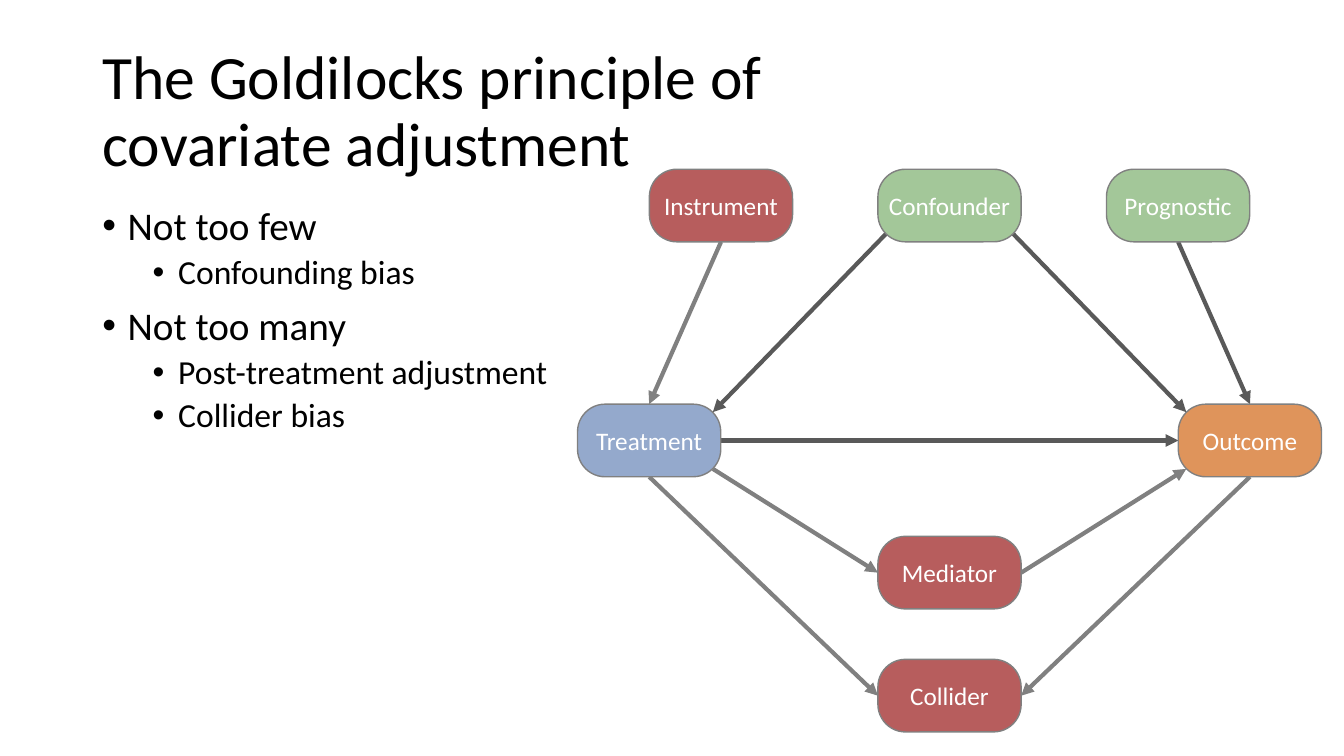
from lxml import etree
from pptx import Presentation
from pptx.dml.color import RGBColor
from pptx.enum.shapes import MSO_CONNECTOR, MSO_SHAPE
from pptx.enum.text import MSO_ANCHOR, PP_ALIGN
from pptx.oxml.ns import qn
from pptx.util import Cm, Pt

FONT = "Calibri"
BLACK, WHITE = RGBColor(0, 0, 0), RGBColor(255, 255, 255)
RED, GREEN = RGBColor(0xB7, 0x5D, 0x5D), RGBColor(0xA3, 0xC7, 0x99)
BLUE, ORANGE = RGBColor(0x94, 0xA9, 0xCC), RGBColor(0xDF, 0x94, 0x5B)
GREY, DARK = RGBColor(0x80, 0x80, 0x80), RGBColor(0x59, 0x59, 0x59)

# Content
TITLE = "The Goldilocks principle of covariate adjustment"
BULLETS = [
    (0, "Not too few"),
    (1, "Confounding bias"),
    (0, "Not too many"),
    (1, "Post-treatment adjustment"),
    (1, "Collider bias"),
]
# Level: text size and space before in points, indent in cm
LEVELS = {0: (28, 10, 0.64), 1: (24, 5, 1.91)}
HANGING = Cm(0.64)

# Diagram geometry in cm: nodes mirror about a central axis
AXIS, UPPER, OUTER = 23.93, 5.76, 7.57
TOP, MIDDLE, LOW, BOTTOM = 5.18, 11.1, 14.43, 17.53
NODE_W, NODE_H, CORNER, ROUNDING = 3.61, 1.83, 0.2, 0.38

# Node: offset from the axis, row centre, fill, rounding
NODES = {
    "Instrument": (-UPPER, TOP, RED),
    "Confounder": (0, TOP, GREEN),
    "Prognostic": (UPPER, TOP, GREEN),
    "Treatment": (-OUTER, MIDDLE, BLUE),
    "Outcome": (OUTER, MIDDLE, ORANGE),
    "Mediator": (0, LOW, RED),
    "Collider": (0, BOTTOM, RED),
}
# Arrow: start node and side, end node and side, colour
ARROWS = [
    ("Instrument", "S", "Treatment", "N", GREY),
    ("Confounder", "SW", "Treatment", "NE", DARK),
    ("Confounder", "SE", "Outcome", "NW", DARK),
    ("Prognostic", "S", "Outcome", "N", DARK),
    ("Treatment", "E", "Outcome", "W", DARK),
    ("Treatment", "SE", "Mediator", "W", GREY),
    ("Mediator", "E", "Outcome", "SW", GREY),
    ("Treatment", "S", "Collider", "W", GREY),
    ("Outcome", "S", "Collider", "E", GREY),
]


def add_span(para, text, size, color):
    span = para.add_run()
    span.text = text
    for name, value in {"name": FONT, "size": Pt(size)}.items():
        setattr(span.font, name, value)
    span.font.color.rgb = color


def anchor(node, side):
    """Point on a node's edge; corner points sit on the rounded arc."""
    offset, y, _ = NODES[node]
    inset = CORNER if len(side) == 2 else 0
    dx = ("E" in side) - ("W" in side)
    dy = ("S" in side) - ("N" in side)
    return (Cm(AXIS + offset + dx * (NODE_W / 2 - inset)),
            Cm(y + dy * (NODE_H / 2 - inset)))


deck = Presentation()
deck.slide_width, deck.slide_height = Cm(33.87), Cm(19.05)
page = deck.slides.add_slide(deck.slide_layouts[6])

# Title
box = page.shapes.add_textbox(Cm(2.33), Cm(1.01), Cm(21.67), Cm(3.68))
frame = box.text_frame
frame.word_wrap, frame.vertical_anchor = True, MSO_ANCHOR.MIDDLE
frame.paragraphs[0].line_spacing = 0.9
add_span(frame.paragraphs[0], TITLE, 44, BLACK)

# Bullet list
box = page.shapes.add_textbox(Cm(2.33), Cm(5.08), Cm(29.21), Cm(12.09))
frame = box.text_frame
frame.word_wrap = True
for index, (level, text) in enumerate(BULLETS):
    para = frame.add_paragraph() if index else frame.paragraphs[0]
    size, before, indent = LEVELS[level]
    look = {"level": level, "line_spacing": 0.9, "space_before": Pt(before)}
    for name, value in look.items():
        setattr(para, name, value)
    props = para._p.get_or_add_pPr()
    props.set("marL", str(Cm(indent)))
    props.set("indent", str(-HANGING))
    etree.SubElement(props, qn("a:buFont")).set("typeface", "Arial")
    etree.SubElement(props, qn("a:buChar")).set("char", "•")
    add_span(para, text, size, BLACK)

# Arrows, behind the nodes
for start, start_side, end, end_side, color in ARROWS:
    arrow = page.shapes.add_connector(
        MSO_CONNECTOR.STRAIGHT, *anchor(start, start_side), *anchor(end, end_side))
    arrow.line.color.rgb, arrow.line.width = color, Pt(3)
    etree.SubElement(arrow.line._get_or_add_ln(), qn("a:tailEnd")).set("type", "triangle")
    etree.SubElement(arrow._element.spPr, qn("a:effectLst"))

# Nodes
for label, (offset, y, fill) in NODES.items():
    node = page.shapes.add_shape(
        MSO_SHAPE.ROUNDED_RECTANGLE, Cm(AXIS + offset - NODE_W / 2),
        Cm(y - NODE_H / 2), Cm(NODE_W), Cm(NODE_H))
    node.adjustments[0] = ROUNDING
    node.shadow.inherit = False
    node.fill.solid()
    node.fill.fore_color.rgb = fill
    node.line.color.rgb, node.line.width = GREY, Pt(1)
    frame = node.text_frame
    look = {"margin_left": 0, "margin_right": 0, "margin_top": 0, "margin_bottom": 0,
            "word_wrap": True, "vertical_anchor": MSO_ANCHOR.MIDDLE}
    for name, value in look.items():
        setattr(frame, name, value)
    frame.paragraphs[0].alignment = PP_ALIGN.CENTER
    add_span(frame.paragraphs[0], label, 18, WHITE)

deck.save("out.pptx")
